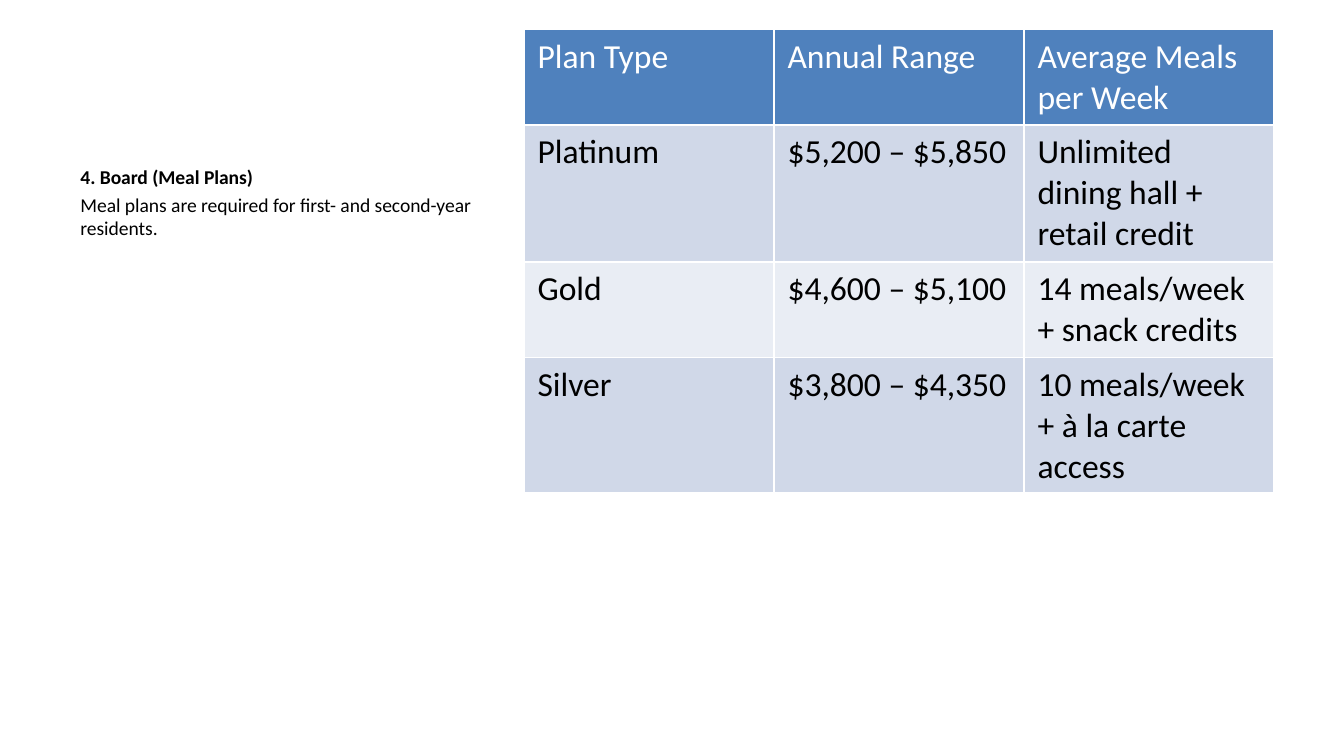
from pptx import Presentation
from pptx import util as u
from pptx.dml.color import RGBColor


def color(code):
    return RGBColor.from_string(code)


def write(para, words, size=18, ink="000000", bold=False, before=0):
    para.space_before = u.Pt(before)
    run = para.add_run()
    run.text = words
    font = run.font
    font.name = "Calibri"
    font.size = u.Pt(size)
    font.bold = bold
    font.color.rgb = color(ink)


# Widescreen, 16:9
deck = Presentation()
deck.slide_width = u.Inches(10)
deck.slide_height = u.Inches(10 * 9 / 16)
slide = deck.slides.add_slide(deck.slide_layouts[6])

# Heading and note on the left
note = slide.shapes.add_textbox(
    u.Inches(0.5), u.Inches(1.18), u.Inches(3.29), u.Inches(3.85)
).text_frame
note.word_wrap = True
write(note.paragraphs[0], "4. Board (Meal Plans)", size=10.5, bold=True)
write(note.add_paragraph(),
      "Meal plans are required for first- and second-year residents.",
      size=10.5, before=2)

# Meal plan table; its default style draws the white borders
plans = [
    ("Plan Type", "Annual Range", "Average Meals per Week"),
    ("Platinum", "$5,200 – $5,850", "Unlimited dining hall + retail credit"),
    ("Gold", "$4,600 – $5,100", "14 meals/week + snack credits"),
    ("Silver", "$3,800 – $4,350", "10 meals/week + à la carte access"),
]
highs = [0.71, 1.02, 0.71, 1.01]
fills = ["4F81BD", "D0D8E8", "E9EDF4", "D0D8E8"]

table = slide.shapes.add_table(
    len(plans), 3, u.Inches(3.9), u.Inches(0.22),
    u.Inches(5.58), u.Inches(sum(highs))
).table
for col in table.columns:
    col.width = u.Inches(1.86)
for r, (plan, high, fill) in enumerate(zip(plans, highs, fills)):
    table.rows[r].height = u.Inches(high)
    for c, words in enumerate(plan):
        cell = table.cell(r, c)
        cell.fill.solid()
        cell.fill.fore_color.rgb = color(fill)
        write(cell.text_frame.paragraphs[0], words,
              ink="000000" if r else "FFFFFF")

deck.save("out.pptx")
